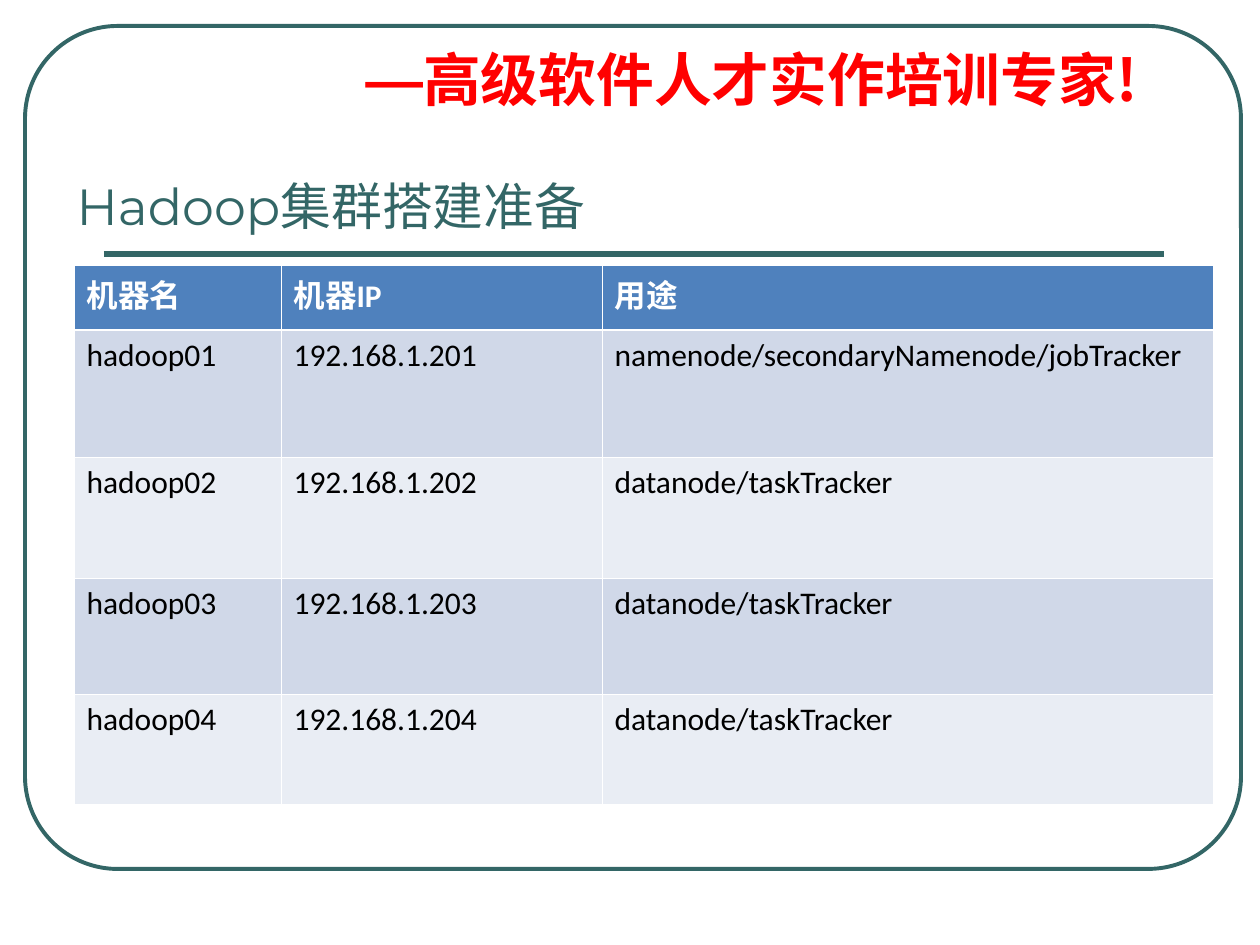
"""Build the Hadoop cluster preparation slide."""
from dataclasses import dataclass

from lxml import etree
from pptx import Presentation
from pptx import util as u
from pptx.dml.color import RGBColor
from pptx.enum import shapes, text
from pptx.oxml import ns

EMU_PER_PX = 914400 / 126


def px(length):
    """Turn pixels into EMU."""
    return u.Emu(round(length * EMU_PER_PX))


def rgb(code):
    """Turn a hex code into a colour."""
    return RGBColor.from_string(code)


@dataclass(frozen=True)
class Theme:
    """Colours, fonts and type sizes of the slide."""
    teal: str = "336666"
    red: str = "FF0000"
    white: str = "FFFFFF"
    black: str = "000000"
    header: str = "4F81BD"
    bands: tuple = ("D0D8E8", "E9EDF4")
    display: str = "Montserrat"
    body: str = "Calibri"
    chinese: str = "Noto Sans CJK SC"
    slogan_size: int = 33
    title_size: int = 29
    table_size: int = 18
    thin: float = 0.45
    thick: float = 1.47


class SlideBuilder:
    """Hold the theme and the current slide, and draw elements on it."""

    def __init__(self, presentation, theme):
        """Add a title-only slide."""
        self.theme = theme
        self.slide = presentation.slides.add_slide(presentation.slide_layouts[5])

    def run(self, paragraph, words, font, size, color, bold=False, chinese=None):
        """Add one formatted run."""
        run = paragraph.add_run()
        run.text = words
        run.font.name = font
        run.font.size = u.Pt(size)
        run.font.bold = bold
        run.font.color.rgb = rgb(color)
        latin = run.font._element.find(ns.qn("a:latin"))
        east_asian = etree.Element(ns.qn("a:ea"), typeface=chinese or self.theme.chinese)
        latin.addnext(east_asian)

    def frame(self, left, top, width, height, radius):
        """Draw the rounded outline."""
        shape = self.slide.shapes.add_shape(
            shapes.MSO_SHAPE.ROUNDED_RECTANGLE, px(left), px(top), px(width), px(height))
        shape.adjustments[0] = radius
        shape.shadow.inherit = False
        shape.fill.background()
        shape.line.color.rgb = rgb(self.theme.teal)
        shape.line.width = u.Pt(2.25)

    def rule(self, left, right, y):
        """Draw a horizontal rule."""
        line = self.slide.shapes.add_connector(
            shapes.MSO_CONNECTOR.STRAIGHT, px(left), px(y), px(right), px(y))
        line.line.color.rgb = rgb(self.theme.teal)
        line.line.width = u.Pt(3)
        etree.SubElement(line._element.spPr, ns.qn("a:effectLst"))

    def slogan(self, left, top, width, height, dash, words):
        """Write the slogan with a hanging dash."""
        theme = self.theme
        box = self.slide.shapes.add_textbox(px(left), px(top), px(width), px(height))
        box.text_frame.word_wrap = True
        paragraph = box.text_frame.paragraphs[0]
        paragraph.line_spacing = 0.9
        properties = paragraph._p.get_or_add_pPr()
        properties.set("marL", str(px(48)))
        properties.set("indent", str(px(-48)))
        self.run(paragraph, dash, theme.display, theme.slogan_size, theme.red, True, theme.display)
        self.run(paragraph, words, theme.chinese, theme.slogan_size, theme.red, True)

    def title(self, left, top, width, height, words):
        """Place and fill the title placeholder."""
        theme = self.theme
        title = self.slide.shapes.title
        title.left, title.top, title.width, title.height = map(px, (left, top, width, height))
        frame = title.text_frame
        frame.word_wrap = True
        frame.auto_size = text.MSO_AUTO_SIZE.NONE
        frame.vertical_anchor = text.MSO_ANCHOR.MIDDLE
        paragraph = frame.paragraphs[0]
        paragraph.alignment = text.PP_ALIGN.LEFT
        self.run(paragraph, words, theme.display, theme.title_size, theme.teal)

    def borders(self, cell, row):
        """Give a cell white borders, thick between header and body."""
        theme = self.theme
        widths = {"lnL": theme.thin, "lnR": theme.thin,
                  "lnT": theme.thick if row == 1 else theme.thin,
                  "lnB": theme.thick if row == 0 else theme.thin}
        properties = cell._tc.get_or_add_tcPr()
        for side, width in widths.items():
            line = etree.SubElement(properties, ns.qn(f"a:{side}"), w=str(u.Pt(width)))
            fill = etree.SubElement(line, ns.qn("a:solidFill"))
            etree.SubElement(fill, ns.qn("a:srgbClr"), val=theme.white)

    def table(self, left, top, widths, heights, rows):
        """Draw a banded table with a header row."""
        theme = self.theme
        table = self.slide.shapes.add_table(
            len(rows), len(widths), px(left), px(top), px(sum(widths)), px(sum(heights))).table
        for column, width in zip(table.columns, widths):
            column.width = px(width)
        for index, (height, values) in enumerate(zip(heights, rows)):
            table.rows[index].height = px(height)
            is_header = index == 0
            for column, words in enumerate(values):
                cell = table.cell(index, column)
                self.borders(cell, index)
                cell.fill.solid()
                cell.fill.fore_color.rgb = rgb(
                    theme.header if is_header else theme.bands[(index - 1) % 2])
                self.run(cell.text_frame.paragraphs[0], words, theme.body, theme.table_size,
                         theme.white if is_header else theme.black, is_header)


def main():
    """Build and save the slide."""
    presentation = Presentation()
    presentation.slide_width, presentation.slide_height = px(1260), px(945)
    builder = SlideBuilder(presentation, Theme())
    builder.frame(25, 26, 1216, 843, 0.11)
    builder.rule(104, 1164, 254)
    builder.slogan(353, 45, 794, 76, "—", "高级软件人才实作培训专家!")
    builder.title(64, 165, 1134, 81, "Hadoop集群搭建准备")
    roles = ["namenode/secondaryNamenode/jobTracker"] + ["datanode/taskTracker"] * 3
    machines = [(f"hadoop0{number}", f"192.168.1.20{number}", role)
                for number, role in enumerate(roles, 1)]
    builder.table(74, 265, [207, 321, 611], [65, 127, 121, 116, 110],
                  [("机器名", "机器IP", "用途"), *machines])
    presentation.save("out.pptx")


if __name__ == "__main__":
    main()
